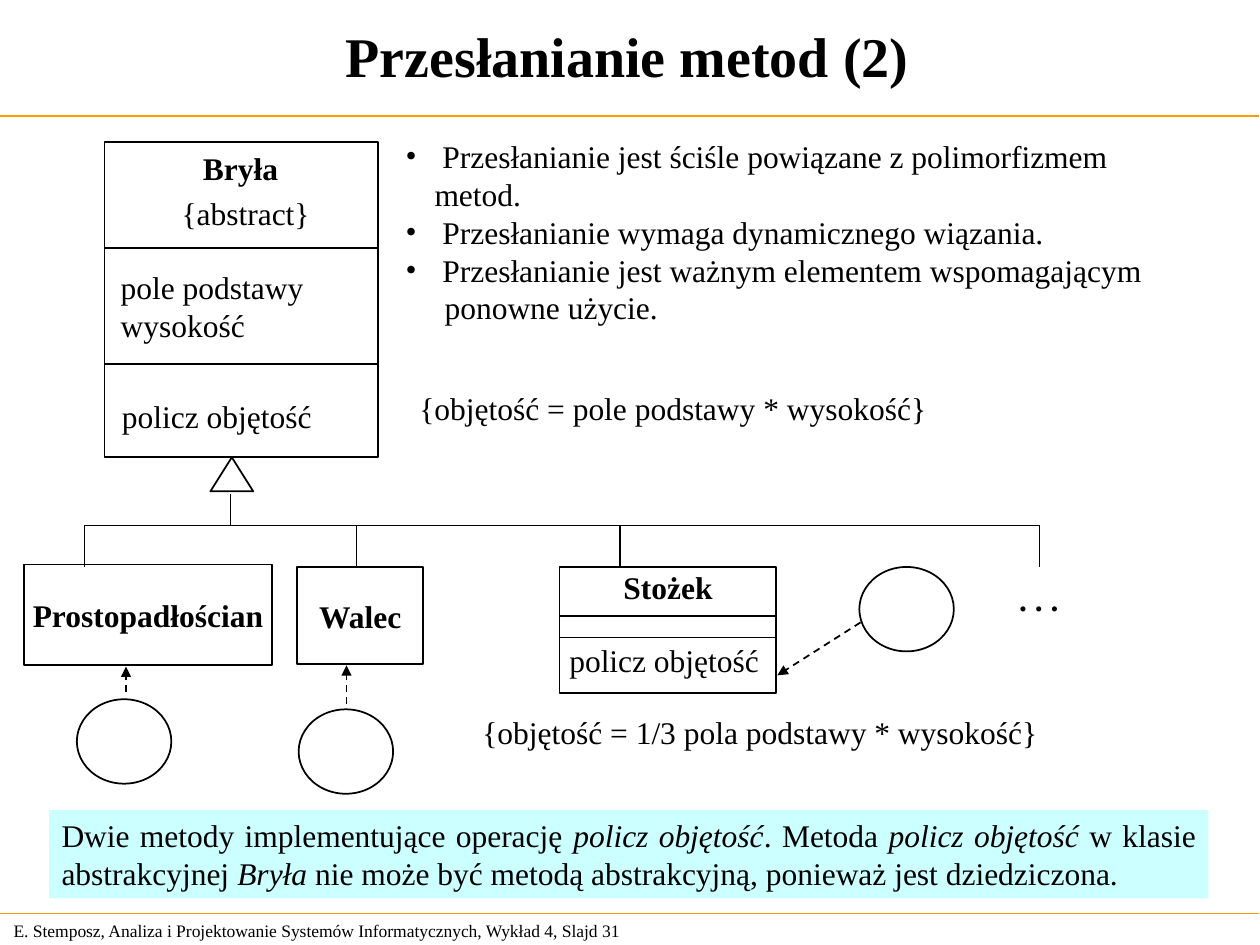
from lxml.etree import SubElement
from pptx import Presentation
from pptx.dml.color import RGBColor
from pptx.enum.dml import MSO_LINE
from pptx.enum.shapes import MSO_CONNECTOR, MSO_SHAPE as Preset
from pptx.enum.text import MSO_ANCHOR as Anchor, PP_ALIGN as Align
from pptx.oxml.ns import qn
from pptx.util import Inches, Pt

BLACK = RGBColor(0, 0, 0)
ORANGE = RGBColor(0xFF, 0x99, 0x00)
PALE_CYAN = RGBColor(0xCC, 0xFF, 0xFF)
FONT = "Times New Roman"


def style(paragraph, size=18, bold=False, align=Align.LEFT):
    """Apply the slide's typeface to a paragraph."""
    paragraph.alignment = align
    font = paragraph.font
    font.name, font.size, font.bold = FONT, Pt(size), bold
    font.color.rgb = BLACK


def set_indent(paragraph, margin, bullet=False):
    """Indent a paragraph, optionally with a hanging bullet."""
    properties = paragraph._p.get_or_add_pPr()
    properties.set("marL", str(Inches(margin)))
    properties.set("indent", str(-Inches(margin) if bullet else 0))
    if bullet:
        SubElement(properties, qn("a:buFont"), typeface=FONT)
        SubElement(properties, qn("a:buChar"), char="•")


def add_text(slide, box, *lines, size=18, bold=False, align=Align.LEFT,
             anchor=Anchor.TOP, bulleted=0):
    """Add a text box with one paragraph per line, the first ones bulleted."""
    frame = slide.shapes.add_textbox(*map(Inches, box)).text_frame
    frame.word_wrap = True
    frame.vertical_anchor = anchor
    frame.text = "\n".join(lines)
    for number, paragraph in enumerate(frame.paragraphs):
        if number < bulleted:
            set_indent(paragraph, 0.23, bullet=True)
        elif bulleted:
            set_indent(paragraph, 0.31)
        style(paragraph, size, bold, align)


def add_outline(slide, preset, box, label=None):
    """Add an unfilled black outline with an optional bold label."""
    outline = slide.shapes.add_shape(preset, *map(Inches, box))
    outline.shadow.inherit = False
    outline.fill.background()
    outline.line.color.rgb = BLACK
    outline.line.width = Pt(1)
    if label:
        frame = outline.text_frame
        frame.word_wrap = False
        frame.vertical_anchor = Anchor.MIDDLE
        frame.text = label
        style(frame.paragraphs[0], bold=True, align=Align.CENTER)


def add_line(slide, ends, color=BLACK, width=1, dependency=False):
    """Add a straight line, dashed with an arrowhead for a dependency."""
    connector = slide.shapes.add_connector(MSO_CONNECTOR.STRAIGHT, *map(Inches, ends))
    connector.line.color.rgb = color
    connector.line.width = Pt(width)
    if dependency:
        connector.line.dash_style = MSO_LINE.DASH
        SubElement(connector.line._get_or_add_ln(), qn("a:tailEnd"), type="triangle")
    SubElement(connector._element.spPr, qn("a:effectLst"))


def add_title(slide):
    """Fill and place the title."""
    title = slide.shapes.title
    title.left, title.top, title.width, title.height = map(Inches, (0, 0.01, 9.96, 0.85))
    title.text_frame.text = "Przesłanianie metod (2)"
    title.text_frame.vertical_anchor = Anchor.MIDDLE
    style(title.text_frame.paragraphs[0], 32, True, Align.CENTER)


def add_footer(slide):
    """Add the footer and the two orange rules."""
    add_text(slide, (0.01, 7.25, 5.5, 0.27),
             "E. Stemposz, Analiza i Projektowanie Systemów Informatycznych, Wykład 4, Slajd 31",
             size=10, anchor=Anchor.MIDDLE)
    for y, width in ((0.92, 1), (7.25, 0.75)):
        add_line(slide, (-0.01, y, 9.99, y), ORANGE, width)


def add_remarks(slide):
    """Add the bulleted remarks on overriding."""
    add_text(slide, (3.12, 1.04, 6.38, 1.3),
             " Przesłanianie jest ściśle powiązane z polimorfizmem metod.",
             " Przesłanianie wymaga dynamicznego wiązania.",
             " Przesłanianie jest ważnym elementem wspomagającym",
             "ponowne użycie.", bulleted=3)


def add_base_class(slide):
    """Draw the abstract class Bryła and its constraint."""
    add_outline(slide, Preset.RECTANGLE, (0.83, 1.13, 2.17, 2.5))
    for y in (1.97, 2.89):
        add_line(slide, (0.83, y, 3, y))
    add_text(slide, (1.41, 1.13, 1, 0.4), "Bryła", bold=True, align=Align.CENTER)
    add_text(slide, (1.25, 1.49, 1.4, 0.4), "{abstract}", align=Align.CENTER)
    add_text(slide, (0.86, 2.08, 1.9, 0.7), "pole podstawy", "wysokość")
    add_text(slide, (0.87, 3.1, 1.9, 0.4), "policz objętość")
    add_text(slide, (3.23, 3.04, 4.5, 0.4), "{objętość = pole podstawy * wysokość}")


def add_inheritance(slide):
    """Draw the generalisation arrow and its branches."""
    add_outline(slide, Preset.ISOSCELES_TRIANGLE, (1.67, 3.63, 0.34, 0.27))
    add_line(slide, (1.83, 3.92, 1.83, 4.17))
    add_line(slide, (0.67, 4.17, 8.25, 4.17))
    for x in (0.67, 2.83, 4.92, 8.25):
        add_line(slide, (x, 4.17, x, 4.5))


def add_subclasses(slide):
    """Draw the derived classes and their instances."""
    add_outline(slide, Preset.RECTANGLE, (0.19, 4.48, 1.97, 0.8), "Prostopadłościan")
    add_outline(slide, Preset.RECTANGLE, (2.36, 4.5, 1, 0.77), "Walec")
    add_outline(slide, Preset.RECTANGLE, (4.44, 4.5, 1.72, 1))
    for y in (4.89, 5.06):
        add_line(slide, (4.44, y, 6.17, y))
    add_text(slide, (4.85, 4.46, 1.1, 0.4), "Stożek", bold=True)
    add_text(slide, (4.42, 5.04, 1.9, 0.4), "policz objętość")
    add_text(slide, (3.73, 5.61, 4.9, 0.4), "{objętość = 1/3 pola podstawy * wysokość}")
    add_text(slide, (7.89, 4.55, 0.71, 0.4), ". . .", bold=True,
             align=Align.CENTER, anchor=Anchor.MIDDLE)
    instances = (
        (0.61, 5.55, (1, 5.49, 1, 5.29)),
        (2.37, 5.63, (2.75, 5.59, 2.75, 5.28)),
        (6.82, 4.5, (6.83, 4.94, 6.17, 5.36)),
    )
    for left, top, arrow in instances:
        add_outline(slide, Preset.OVAL, (left, top, 0.75, 0.67))
        add_line(slide, arrow, dependency=True)


def add_conclusion(slide):
    """Add the highlighted conclusion with italic terms."""
    panel = slide.shapes.add_shape(Preset.RECTANGLE, *map(Inches, (0.39, 6.43, 9.2, 0.7)))
    panel.shadow.inherit = False
    panel.fill.solid()
    panel.fill.fore_color.rgb = PALE_CYAN
    panel.line.fill.background()
    panel.text_frame.word_wrap = True
    panel.text_frame.vertical_anchor = Anchor.TOP
    paragraph = panel.text_frame.paragraphs[0]
    style(paragraph, align=Align.JUSTIFY)
    for text, italic in (
        ("Dwie metody implementujące operację ", False),
        ("policz objętość", True),
        (". Metoda ", False),
        ("policz objętość", True),
        (" w klasie abstrakcyjnej ", False),
        ("Bryła", True),
        (" nie może być metodą abstrakcyjną, ponieważ jest dziedziczona.", False),
    ):
        run = paragraph.add_run()
        run.text = text
        run.font.italic = italic


def main():
    """Build the slide on method overriding."""
    deck = Presentation()
    deck.slide_width, deck.slide_height = Inches(10), Inches(7.5)
    slide = deck.slides.add_slide(deck.slide_layouts[5])
    add_title(slide)
    add_footer(slide)
    add_conclusion(slide)
    add_remarks(slide)
    add_base_class(slide)
    add_inheritance(slide)
    add_subclasses(slide)
    deck.save("out.pptx")


if __name__ == "__main__":
    main()
